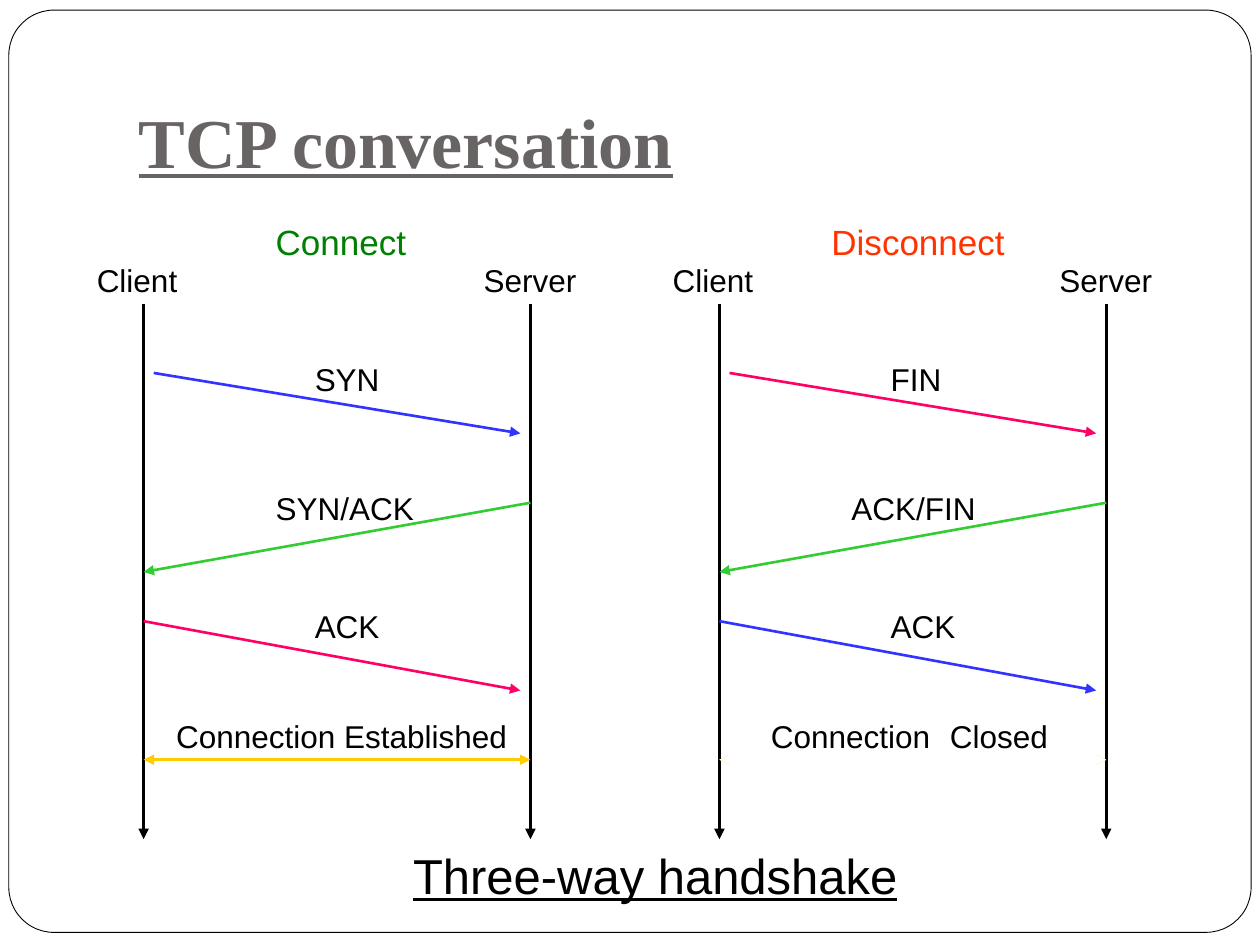
from typing import NamedTuple

from lxml.etree import SubElement
from pptx import Presentation
from pptx.dml.color import RGBColor
from pptx.enum.shapes import MSO_CONNECTOR, MSO_SHAPE
from pptx.enum.text import MSO_ANCHOR, PP_ALIGN
from pptx.oxml.ns import qn
from pptx.util import Inches, Pt

BLACK = RGBColor(0x00, 0x00, 0x00)
WHITE = RGBColor(0xFF, 0xFF, 0xFF)
GRAY = RGBColor(0x69, 0x64, 0x64)
BLUE = RGBColor(0x33, 0x33, 0xFF)
GREEN = RGBColor(0x33, 0xCC, 0x33)
PINK = RGBColor(0xFF, 0x00, 0x66)
YELLOW = RGBColor(0xFF, 0xCC, 0x00)
DARK_GREEN = RGBColor(0x00, 0x80, 0x00)
ORANGE = RGBColor(0xFF, 0x33, 0x00)

CLIENT_X, SERVER_X = 1.14, 4.21
LIFELINE_TOP, LIFELINE_BOTTOM = 2.41, 6.66
RESULT_Y = 6.03
DIAGRAM_STEP = 4.57
LABEL_HEIGHT = 0.4


class Label(NamedTuple):
    text: str
    left: float
    top: float
    width: float


class Arrow(NamedTuple):
    """Ends in inches, relative to the diagram."""
    x1: float
    y1: float
    x2: float
    y2: float
    color: RGBColor
    width: float = 1.5
    both_ends: bool = False


class Diagram(NamedTuple):
    offset: float
    message_colors: tuple[RGBColor, RGBColor, RGBColor]
    messages: tuple[str, str, str]
    results: tuple[Label, ...]
    result_colors: tuple[tuple[RGBColor, float], ...]


DIAGRAMS = (
    Diagram(0, (BLUE, GREEN, PINK), ("SYN", "SYN/ACK", "ACK"),
            (Label("Connection Established", 1.3, 5.64, 2.84),),
            ((YELLOW, 1.5),)),
    Diagram(DIAGRAM_STEP, (PINK, GREEN, BLUE), ("FIN", "ACK/FIN", "ACK"),
            (Label("Connection", 1.45, 5.64, 1.65),
             Label("Closed", 2.87, 5.64, 1.02)),
            ((YELLOW, 1.5), (WHITE, 6))),
)


def write_text(shape, text: str, *, size: float, color: RGBColor = BLACK,
               font: str = "Arial", bold: bool = False, underline: bool = False,
               align: PP_ALIGN = PP_ALIGN.LEFT,
               anchor: MSO_ANCHOR = MSO_ANCHOR.TOP) -> None:
    frame = shape.text_frame
    frame.word_wrap = True
    frame.vertical_anchor = anchor
    paragraph = frame.paragraphs[0]
    paragraph.alignment = align
    run = paragraph.add_run()
    run.text = text
    run.font.name = font
    run.font.size = Pt(size)
    run.font.bold = bold
    run.font.underline = underline
    run.font.color.rgb = color


def add_text(slide, label: Label, *, height: float = LABEL_HEIGHT,
             offset: float = 0, size: float = 18, **text_format):
    box = slide.shapes.add_textbox(Inches(label.left + offset), Inches(label.top),
                                   Inches(label.width), Inches(height))
    write_text(box, label.text, size=size, **text_format)
    return box


def add_arrow(slide, arrow: Arrow, offset: float) -> None:
    connector = slide.shapes.add_connector(
        MSO_CONNECTOR.STRAIGHT,
        Inches(arrow.x1 + offset), Inches(arrow.y1),
        Inches(arrow.x2 + offset), Inches(arrow.y2))
    connector.line.color.rgb = arrow.color
    connector.line.width = Pt(arrow.width)
    properties = connector.element.spPr
    line = properties.find(qn("a:ln"))
    for end in ("a:headEnd", "a:tailEnd") if arrow.both_ends else ("a:tailEnd",):
        SubElement(line, qn(end), type="triangle")
    SubElement(properties, qn("a:effectLst"))


def add_diagram(slide, diagram: Diagram) -> None:
    first, second, third = diagram.message_colors
    arrows = [
        Arrow(x, LIFELINE_TOP, x, LIFELINE_BOTTOM, BLACK)
        for x in (CLIENT_X, SERVER_X)
    ] + [
        Arrow(1.22, 2.96, 4.13, 3.44, first),
        Arrow(SERVER_X, 3.99, CLIENT_X, 4.54, second),
        Arrow(CLIENT_X, 4.93, 4.13, 5.48, third),
    ] + [
        Arrow(CLIENT_X, RESULT_Y, SERVER_X, RESULT_Y, color, width, both_ends=True)
        for color, width in diagram.result_colors
    ]
    for arrow in arrows:
        add_arrow(slide, arrow, diagram.offset)

    request, reply, confirmation = diagram.messages
    labels = (
        Label("Client", 0.67, 2.02, 0.87),
        Label("Server", 3.74, 2.02, 1.02),
        Label(request, 2.4, 2.81, 0.94),
        Label(reply, 2.09, 3.83, 1.34),
        Label(confirmation, 2.4, 4.77, 0.94),
        *diagram.results,
    )
    for label in labels:
        add_text(slide, label, offset=diagram.offset)


def add_title(slide) -> None:
    title = slide.shapes.title
    title.left, title.top = Inches(1), Inches(0.3)
    title.width, title.height = Inches(8.5), Inches(1.25)
    title.text_frame.margin_bottom = Inches(0.1)
    write_text(title, "TCP conversation", size=40, color=GRAY,
               font="Times New Roman", bold=True, underline=True,
               anchor=MSO_ANCHOR.BOTTOM)


def add_frame(slide) -> None:
    """Draw the rounded page border behind the title."""
    frame = slide.shapes.add_shape(MSO_SHAPE.ROUNDED_RECTANGLE, Inches(0.07),
                                   Inches(0.08), Inches(9.86), Inches(7.32))
    frame.adjustments[0] = 0.049
    frame.shadow.inherit = False
    frame.fill.solid()
    frame.fill.fore_color.rgb = WHITE
    frame.line.color.rgb = BLACK
    frame.line.width = Pt(0.5)
    slide.shapes.title.element.addprevious(frame.element)


def main() -> None:
    presentation = Presentation()
    presentation.slide_width, presentation.slide_height = Inches(10), Inches(7.5)
    slide = presentation.slides.add_slide(presentation.slide_layouts[5])
    add_frame(slide)
    add_title(slide)
    for diagram in DIAGRAMS:
        add_diagram(slide, diagram)

    connect = add_text(slide, Label("Connect", 2.09, 1.7, 1.26), height=0.44,
                       size=20, color=DARK_GREEN)
    connect.line.color.rgb = WHITE
    connect.line.width = Pt(0.75)
    add_text(slide, Label("Disconnect", 6.5, 1.7, 1.65), height=0.44,
             size=20, color=ORANGE)
    add_text(slide, Label("Three-way handshake", 1.93, 6.66, 6.54), height=0.57,
             size=28, underline=True, align=PP_ALIGN.CENTER)
    presentation.save("out.pptx")


if __name__ == "__main__":
    main()
